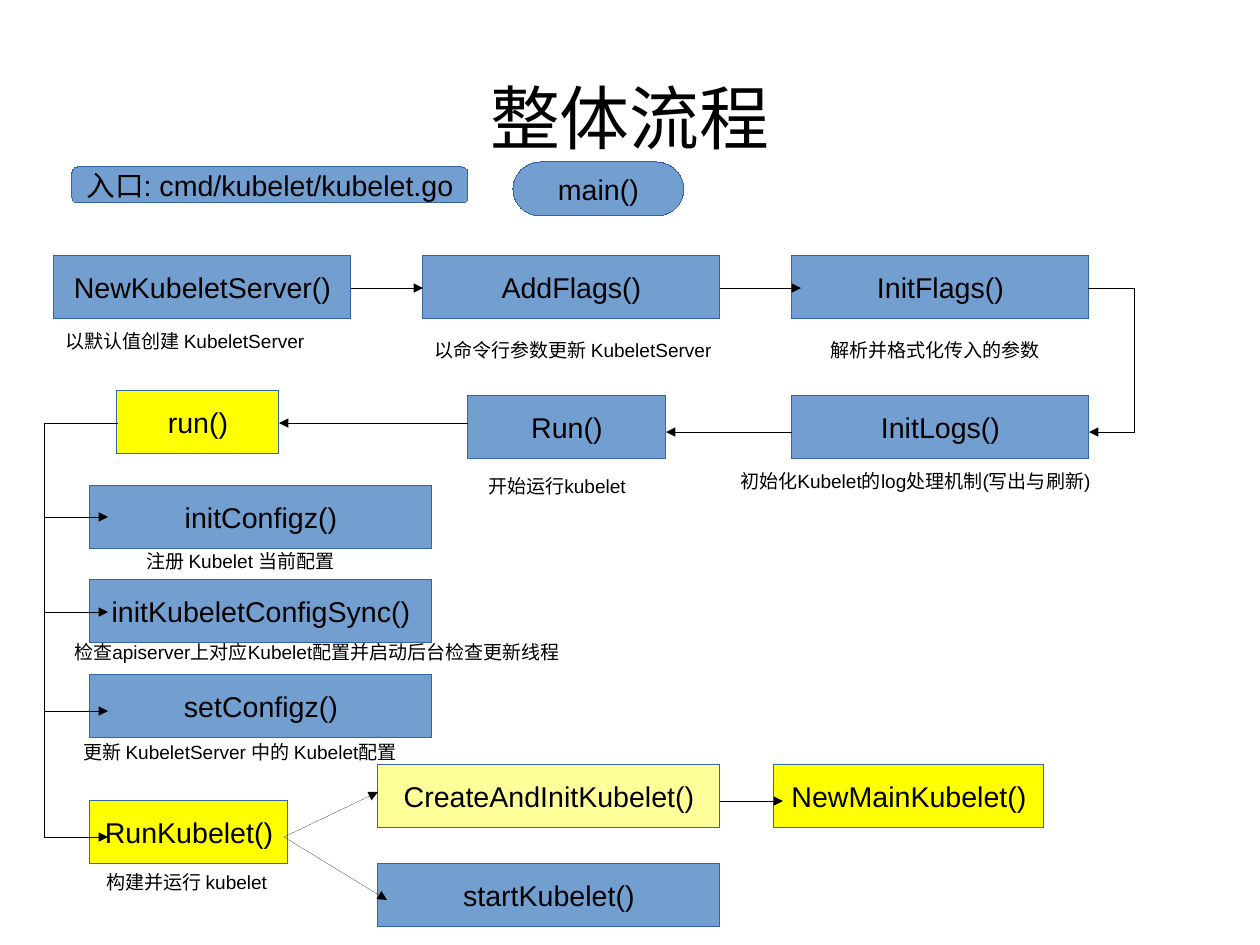
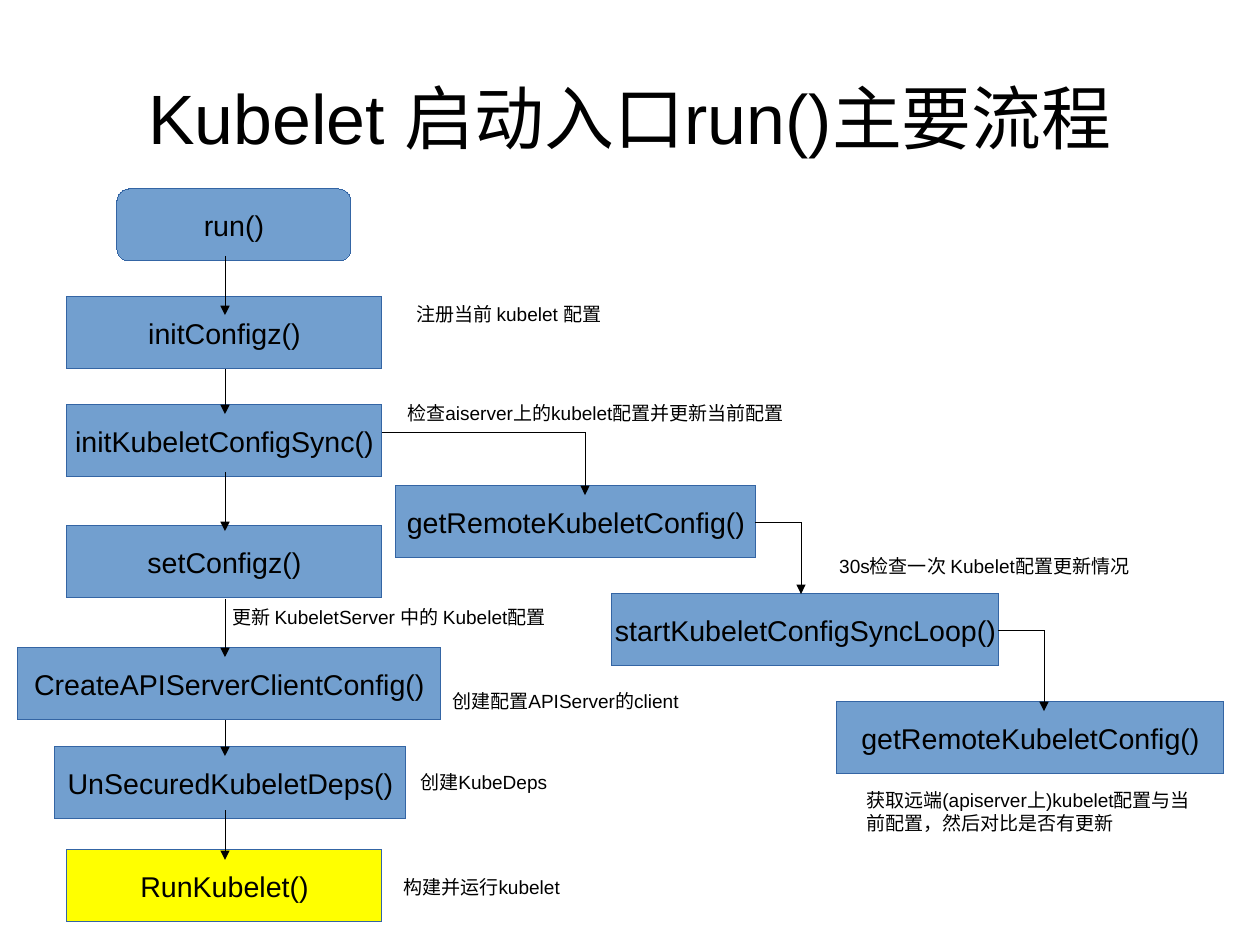
from dataclasses import dataclass
from itertools import pairwise

from lxml import etree
from pptx import Presentation
from pptx.dml.color import RGBColor
from pptx.enum.shapes import MSO_CONNECTOR, MSO_SHAPE
from pptx.enum.text import MSO_ANCHOR, PP_ALIGN
from pptx.oxml.ns import qn
from pptx.slide import Slide
from pptx.util import Emu, Pt

PX = 8000
FONT = "Arial"
TITLE_SIZE, CALL_SIZE, NOTE_SIZE = 44, 18, 12
COLORS = {
    "text": "000000",
    "arrow": "000000",
    "edge": "3465A4",
    "blue": "729FCF",
    "yellow": "FFFF00",
    "pale": "FFFF99",
}
PROCESS = MSO_SHAPE.FLOWCHART_PROCESS
TERMINATOR = MSO_SHAPE.FLOWCHART_TERMINATOR
RECTANGLE = MSO_SHAPE.RECTANGLE
ROUNDED = MSO_SHAPE.ROUNDED_RECTANGLE
STRAIGHT = MSO_CONNECTOR.STRAIGHT
CENTER, LEFT = PP_ALIGN.CENTER, PP_ALIGN.LEFT
MIDDLE, TOP = MSO_ANCHOR.MIDDLE, MSO_ANCHOR.TOP


def px(value):
    return Emu(value * PX)


def color(name):
    return RGBColor.from_string(COLORS[name])


def write(shape, text, size, alignment, anchor, wrap):
    frame = shape.text_frame
    frame.word_wrap = wrap
    frame.vertical_anchor = anchor
    paragraph = frame.paragraphs[0]
    paragraph.text = text
    paragraph.alignment = alignment
    paragraph.font.name = FONT
    paragraph.font.size = Pt(size)
    paragraph.font.color.rgb = color("text")
    return frame


def set_hairline(shape, name):
    shape.element.remove(shape.element.find(qn("p:style")))
    shape.line.color.rgb = color(name)
    shape.line.width = Pt(0)


@dataclass
class Region:
    slide: Slide
    left: int
    top: int
    width: int
    height: int

    def place(self, x, y, width, height):
        return px(self.left + x), px(self.top + y), px(width), px(height)

    def call(self, text, x, y, width, height, fill="blue", kind=PROCESS):
        shape = self.slide.shapes.add_shape(kind, *self.place(x, y, width, height))
        shape.shadow.inherit = False
        shape.fill.solid()
        shape.fill.fore_color.rgb = color(fill)
        set_hairline(shape, "edge")
        write(shape, text, CALL_SIZE, CENTER, MIDDLE, False)

    def note(self, text, x, y, width, height=39):
        shape = self.slide.shapes.add_textbox(*self.place(x, y, width, height))
        write(shape, text, NOTE_SIZE, LEFT, TOP, True)

    def line(self, *points, arrow=True):
        for start, end in pairwise(points):
            connector = self.slide.shapes.add_connector(
                STRAIGHT, *self.place(*start, 0, 0)[:2], *self.place(*end, 0, 0)[:2]
            )
            set_hairline(connector, "arrow")
            properties = connector.element.spPr
            if arrow and end == points[-1]:
                outline = properties.find(qn("a:ln"))
                etree.SubElement(outline, qn("a:tailEnd"), type="triangle")
            etree.SubElement(properties, qn("a:effectLst"))


def add_title_slide(presentation, title):
    slide = presentation.slides.add_slide(presentation.slide_layouts[6])
    shape = slide.shapes.add_textbox(px(63), px(38), px(1134), px(158))
    frame = write(shape, title, TITLE_SIZE, CENTER, MIDDLE, True)
    frame.margin_left = frame.margin_right = 0
    frame.margin_top = frame.margin_bottom = 0
    return slide


def draw_entry(region):
    region.call("入口: cmd/kubelet/kubelet.go", 0, 5, 396, 36, kind=ROUNDED)
    region.call("main()", region.width - 171, 0, 171, region.height, kind=TERMINATOR)


def draw_startup_chain(region):
    pitch, width, height = 369, 297, 63
    for index, text in enumerate(["NewKubeletServer()", "AddFlags()", "InitFlags()"]):
        region.call(text, index * pitch, 0, width, height)
    region.call("InitLogs()", 2 * pitch, 140, width, height)
    region.call("Run()", 414, 140, 198, height)
    region.call("run()", 63, 135, 162, height, "yellow")

    region.note("以默认值创建 KubeletServer", 0, 68, 305)
    region.note("以命令行参数更新 KubeletServer", pitch, 77, 305)
    region.note("解析并格式化传入的参数", 765, 77, 233)
    region.note("初始化Kubelet的log处理机制(写出与刷新)", 675, 208, 432)
    region.note("开始运行kubelet", 423, 213, 179, 54)

    right, edge = 2 * pitch + width, region.width
    region.line((width, 32), (pitch, 32))
    region.line((pitch + width, 32), (747, 32))
    region.line((right, 32), (edge, 32), (edge, 176), (right, 176))
    region.line((2 * pitch, 176), (612, 176))
    region.line((414, 167), (225, 167))


def draw_run_steps(region):
    calls = ["initConfigz()", "initKubeletConfigSync()", "setConfigz()"]
    for index, text in enumerate(calls):
        region.call(text, 45, 63 + 189 * index // 2, 342, 63)
    region.call("RunKubelet()", 45, 378, 198, 63, "yellow")

    region.note("注册 Kubelet 当前配置", 90, 121, 233)
    region.note("检查apiserver上对应Kubelet配置并启动后台检查更新线程", 18, 212, 530)
    region.note("更新 KubeletServer 中的 Kubelet配置", 27, 312, 360)
    region.note("构建并运行 kubelet", 50, 442, 193)

    region.line((72, 0), (0, 0), (0, 414), arrow=False)
    for y in (94, 189, 288, 414):
        region.line((0, y), (63, y))


def draw_kubelet_branch(region):
    region.call("CreateAndInitKubelet()", 94, 0, 342, 63, "pale")
    region.call("startKubelet()", 94, 99, 342, 63)
    region.call("NewMainKubelet()", region.width - 270, 0, 270, 63, "yellow")
    region.line((0, 72), (94, 27))
    region.line((0, 72), (103, 135))
    region.line((436, 36), (499, 36))


def draw_run_column(region):
    center, height = 207, 72
    steps = [
        ("initConfigz()", 49, 108, 315, "blue", 67, 126),
        ("initKubeletConfigSync()", 49, 216, 315, "blue", 180, 225),
        ("setConfigz()", 49, 337, 315, "blue", 283, 342),
        ("UnSecuredKubeletDeps()", 37, 558, 351, "blue", 504, 567),
        ("RunKubelet()", 49, 661, 315, "yellow", 621, 671),
        ("CreateAPIServerClientConfig()", 0, 459, 423, "blue", 410, 468),
    ]
    notes = [
        ("注册当前 kubelet 配置", 387, 108, 225),
        ("更新 KubeletServer 中的 Kubelet配置", 203, 411, 360),
        ("创建配置APIServer的client", 423, 495, 360),
        ("创建KubeDeps", 391, 576, 360),
        ("构建并运行kubelet", 374, 681, 193),
    ]

    region.call("run()", 99, 0, 234, height, kind=ROUNDED)
    for text, x, y, width, fill, start, end in steps:
        region.call(text, x, y, width, height, fill, RECTANGLE)
        region.line((center, start), (center, end))
    for note in notes:
        region.note(*note)


def draw_remote_config(region):
    calls = [
        ("getRemoteKubeletConfig()", 13, 90, 360),
        ("startKubeletConfigSyncLoop()", 229, 198, 387),
        ("getRemoteKubeletConfig()", 454, 306, 387),
    ]
    notes = [
        ("检查aiserver上的kubelet配置并更新当前配置", 13, 0, 423, 45),
        ("30s检查一次 Kubelet配置更新情况", 445, 153, 333, 45),
        ("获取远端(apiserver上)kubelet配置与当前配置，然后对比是否有更新", 472, 387, 351, 67),
    ]
    elbows = [(0, 36, 202, 99), (373, 126, 418, 198), (616, 234, 661, 315)]

    for call in calls:
        region.call(*call, 72, kind=RECTANGLE)
    for note in notes:
        region.note(*note)
    for left, top, right, bottom in elbows:
        region.line((left, top), (right, top), (right, bottom))


def main():
    presentation = Presentation()
    presentation.slide_width, presentation.slide_height = px(1260), px(945)

    overview = add_title_slide(presentation, "整体流程")
    draw_entry(Region(overview, 72, 162, 612, 54))
    draw_startup_chain(Region(overview, 54, 256, 1080, 203))
    draw_run_steps(Region(overview, 45, 423, 548, 481))
    draw_kubelet_branch(Region(overview, 284, 765, 760, 162))

    run_flow = add_title_slide(presentation, "Kubelet 启动入口run()主要流程")
    draw_run_column(Region(run_flow, 18, 189, 783, 733))
    draw_remote_config(Region(run_flow, 383, 396, 841, 454))

    presentation.save("out.pptx")


if __name__ == "__main__":
    main()
